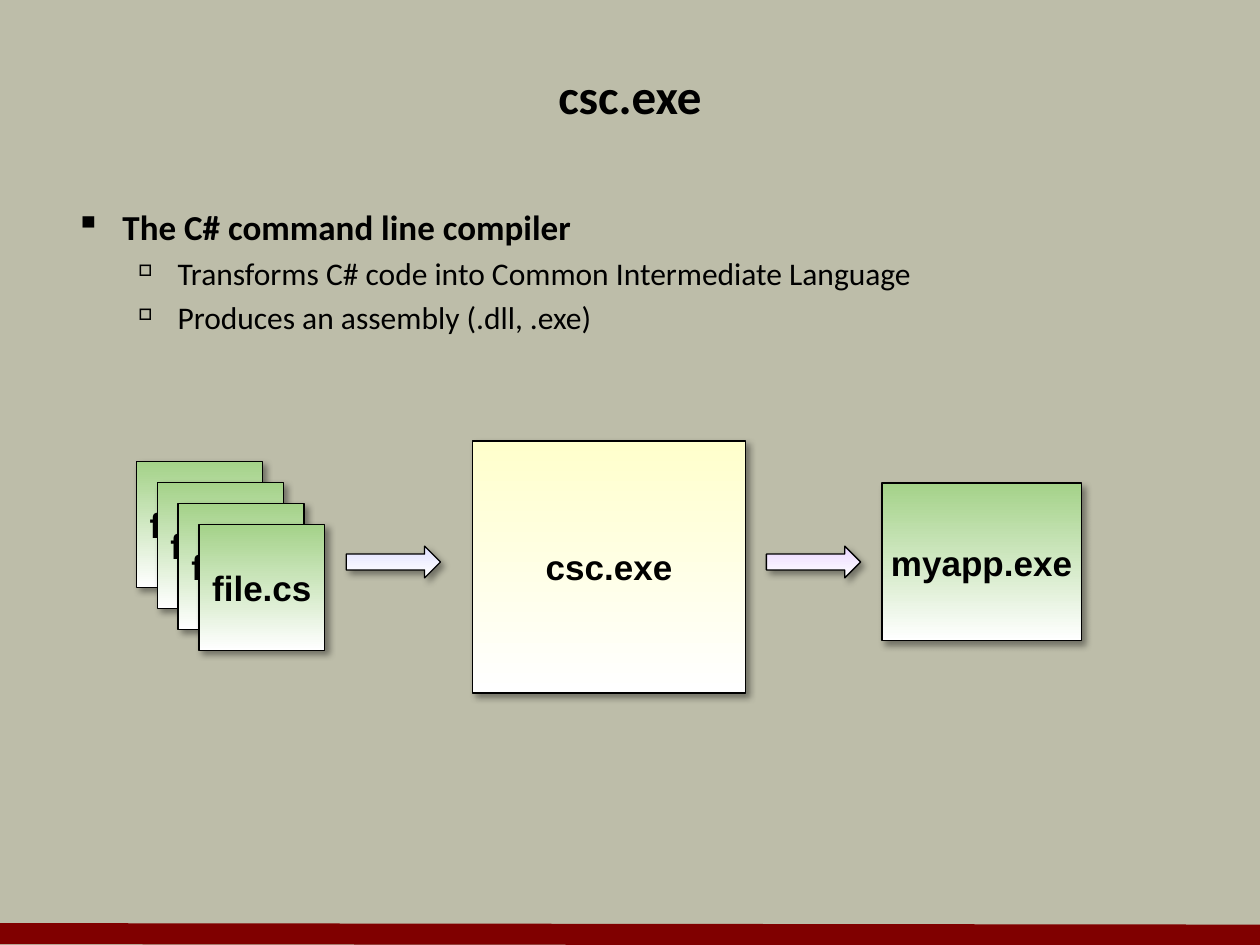
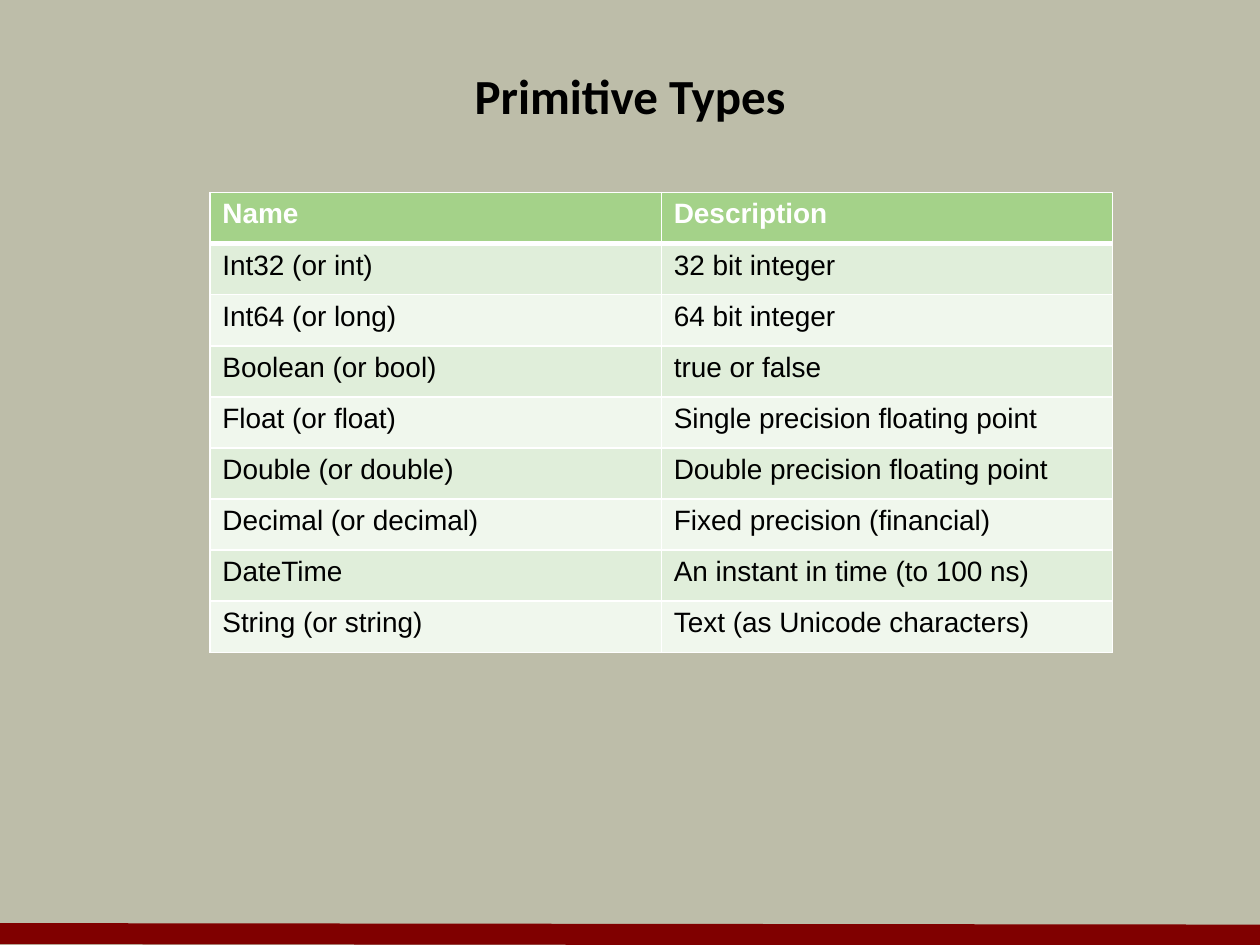
"""Builds two slides on the C# compiler and the primitive types."""
from lxml import etree
from pptx import Presentation
from pptx import util as u
from pptx.dml.color import RGBColor
from pptx.enum import shapes, text
from pptx.oxml import ns

WIDTH, HEIGHT = 25.4, 19.05
BACKGROUND, BAND, BLACK, WHITE = "BDBDA9", "800000", "000000", "FFFFFF"
GREEN, YELLOW, BLUE, PURPLE = "A4D289", "FFFFCC", "E2E2FF", "EAD6FF"
ROW_FILLS = ["E0EEDA", "F0F7ED"]

COMPILER_TITLE = "csc.exe"
COMPILER_POINTS = [
    (0, "The C# command line compiler"),
    (1, "Transforms C# code into Common Intermediate Language"),
    (1, "Produces an assembly (.dll, .exe)"),
]
LEVELS = [
    dict(size=20, bold=True, margin=0.95, hanging=0.95, bullet="▪", bullet_size=100),
    dict(size=18, bold=False, margin=2.06, hanging=0.79, bullet="□", bullet_size=50),
]
SOURCE_COUNT, SOURCE_STEP = 4, 0.42
SOURCE_FILE = ("file.cs", GREEN, 2.75, 9.31, 2.54, 2.54)
PROGRAMS = [
    ("csc.exe", YELLOW, 9.53, 8.89, 5.5, 5.08),
    ("myapp.exe", GREEN, 17.78, 9.74, 4.02, 3.18),
]
ARROWS = [(BLUE, 6.98), (PURPLE, 15.45)]

TYPES_TITLE = "Primitive Types"
TYPES = [
    ("Name", "Description"),
    ("Int32 (or int)", "32 bit integer"),
    ("Int64 (or long)", "64 bit integer"),
    ("Boolean (or bool)", "true or false"),
    ("Float (or float)", "Single precision floating point"),
    ("Double (or double)", "Double precision floating point"),
    ("Decimal (or decimal)", "Fixed precision (financial)"),
    ("DateTime", "An instant in time (to 100 ns)"),
    ("String (or string)", "Text (as Unicode characters)"),
]
COLUMN_WIDTH, ROW_HEIGHT = 9.1, 1.03


def color(value):
    return RGBColor.from_string(value)


def box(left, top, width, height):
    return [u.Cm(length) for length in (left, top, width, height)]


def add_xml(parent, tag, **attributes):
    values = {name: str(value) for name, value in attributes.items()}
    return etree.SubElement(parent, ns.qn(tag), values)


def style(paragraph, name, size, bold, font_color=BLACK):
    font = paragraph.font
    font.name, font.size, font.bold = name, u.Pt(size), bold
    font.color.rgb = color(font_color)


def add_slide(presentation, title):
    slide = presentation.slides.add_slide(presentation.slide_layouts[6])
    slide.background.fill.solid()
    slide.background.fill.fore_color.rgb = color(BACKGROUND)
    band = slide.shapes.add_connector(
        shapes.MSO_CONNECTOR.STRAIGHT, *box(0, 18.82, WIDTH, 18.85))
    band.line.color.rgb, band.line.width = color(BAND), u.Pt(12)
    add_xml(band._element.spPr, "a:effectLst")
    frame = slide.shapes.add_textbox(*box(1.27, 0.85, 22.86, 2.12)).text_frame
    frame.word_wrap = True
    frame.vertical_anchor = text.MSO_ANCHOR.MIDDLE
    paragraph = frame.paragraphs[0]
    paragraph.text = title
    paragraph.alignment = text.PP_ALIGN.CENTER
    style(paragraph, "Calibri", 28, True)
    return slide


def add_points(slide, points):
    frame = slide.shapes.add_textbox(*box(1.27, 4.02, 22.86, 12.5)).text_frame
    frame.word_wrap = True
    for index, (depth, point) in enumerate(points):
        level = LEVELS[depth]
        paragraph = frame.add_paragraph() if index else frame.paragraphs[0]
        paragraph.text = point
        paragraph.level = depth
        if index:
            paragraph.space_before = u.Pt(level["size"] * 0.2)
        properties = paragraph._p.get_or_add_pPr()
        properties.set("marL", str(u.Cm(level["margin"])))
        properties.set("indent", str(-u.Cm(level["hanging"])))
        add_xml(properties, "a:buSzPct", val=level["bullet_size"] * 1000)
        add_xml(properties, "a:buChar", char=level["bullet"])
        style(paragraph, "Calibri", level["size"], level["bold"])


def add_block(slide, kind, top_color, *place):
    block = slide.shapes.add_shape(kind, *box(*place))
    block.fill.gradient()
    block.fill.gradient_angle = 270
    for stop, stop_color in zip(block.fill.gradient_stops, (top_color, WHITE)):
        stop.color.rgb = color(stop_color)
    block.line.color.rgb, block.line.width = color(BLACK), u.Pt(0.75)
    block.shadow.inherit = False
    effects = block._element.spPr.find(ns.qn("a:effectLst"))
    shadow = add_xml(effects, "a:outerShdw", blurRad=u.Pt(4), dist=u.Pt(3),
                     dir=45 * 60000, algn="tl", rotWithShape=0)
    add_xml(add_xml(shadow, "a:srgbClr", val=BLACK), "a:alpha", val=40000)
    return block


def add_file(slide, label, top_color, *place):
    block = add_block(slide, shapes.MSO_SHAPE.RECTANGLE, top_color, *place)
    frame = block.text_frame
    frame.word_wrap = False
    frame.vertical_anchor = text.MSO_ANCHOR.MIDDLE
    paragraph = frame.paragraphs[0]
    paragraph.text = label
    paragraph.alignment = text.PP_ALIGN.CENTER
    style(paragraph, "Arial", 20, True)


def add_flow(slide):
    label, fill, left, top, width, height = SOURCE_FILE
    for index in range(SOURCE_COUNT):
        shift = index * SOURCE_STEP
        add_file(slide, label, fill, left + shift, top + shift, width, height)
    for program in PROGRAMS:
        add_file(slide, *program)
    for fill, left in ARROWS:
        add_block(slide, shapes.MSO_SHAPE.RIGHT_ARROW, fill, left, 11.01, 1.9, 0.64)


def add_borders(cell, row):
    widths = {"L": 1, "R": 1, "T": 3 if row == 1 else 1, "B": 3 if row == 0 else 1}
    properties = cell._tc.get_or_add_tcPr()
    for side, width in widths.items():
        line = add_xml(properties, "a:ln" + side, w=u.Pt(width))
        add_xml(add_xml(line, "a:solidFill"), "a:srgbClr", val=WHITE)


def add_types(slide, rows):
    columns = len(rows[0])
    place = box(4.23, 3.88, columns * COLUMN_WIDTH, len(rows) * ROW_HEIGHT)
    table = slide.shapes.add_table(len(rows), columns, *place).table
    for row, values in enumerate(rows):
        header = row == 0
        for column, value in enumerate(values):
            cell = table.cell(row, column)
            add_borders(cell, row)
            cell.fill.solid()
            cell.fill.fore_color.rgb = color(GREEN if header else ROW_FILLS[(row - 1) % 2])
            cell.text_frame.text = value
            style(cell.text_frame.paragraphs[0], "Arial", 16, header,
                  WHITE if header else BLACK)


def main():
    presentation = Presentation()
    presentation.slide_width, presentation.slide_height = u.Cm(WIDTH), u.Cm(HEIGHT)
    compiler = add_slide(presentation, COMPILER_TITLE)
    add_points(compiler, COMPILER_POINTS)
    add_flow(compiler)
    add_types(add_slide(presentation, TYPES_TITLE), TYPES)
    presentation.save("out.pptx")


if __name__ == "__main__":
    main()
